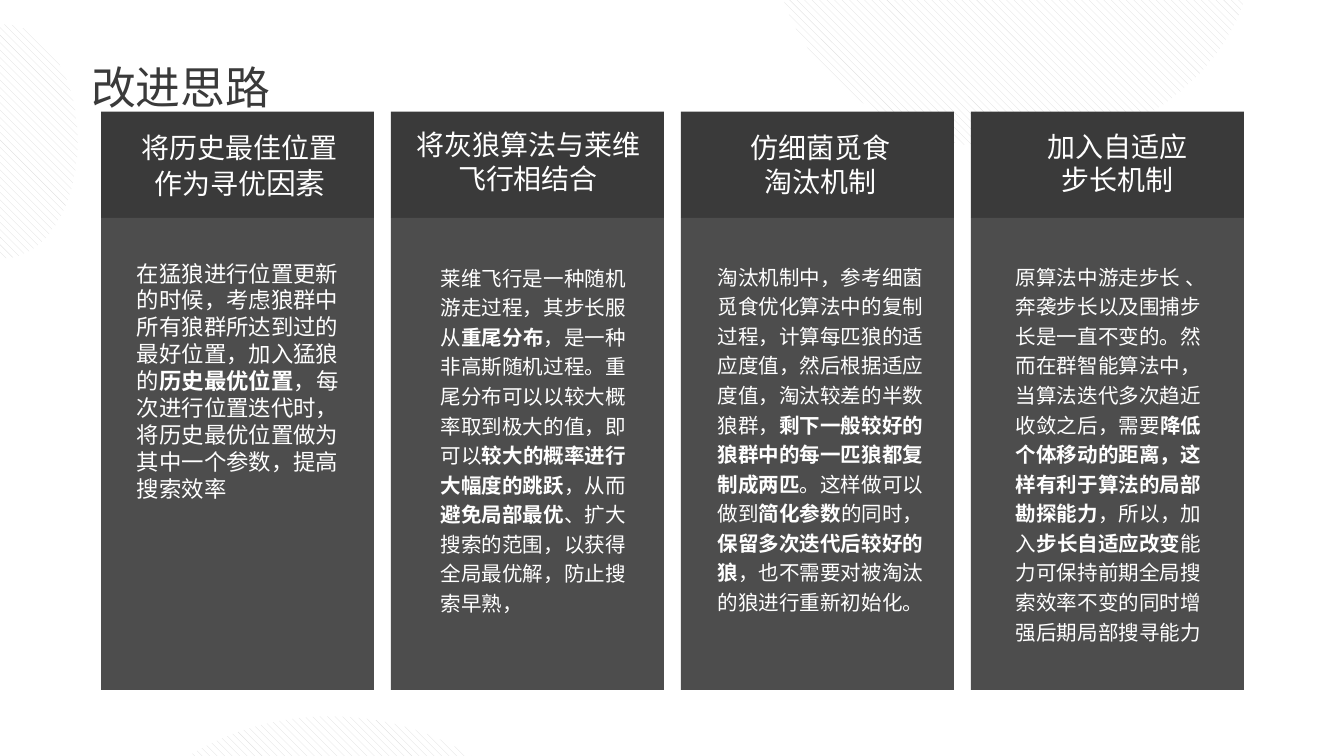
"""Build the slide on four ideas for improving the wolf algorithm."""
from dataclasses import dataclass

from pptx import Presentation
from pptx.dml.color import RGBColor
from pptx.enum.dml import MSO_PATTERN
from pptx.enum.shapes import MSO_SHAPE
from pptx.enum.text import MSO_ANCHOR, MSO_AUTO_SIZE, PP_ALIGN
from pptx.oxml.ns import qn
from pptx.util import Cm, Pt

RECTANGLE, OVAL = MSO_SHAPE.RECTANGLE, MSO_SHAPE.OVAL
HATCH = MSO_PATTERN.WIDE_DOWNWARD_DIAGONAL
CENTER, LEFT = PP_ALIGN.CENTER, PP_ALIGN.LEFT
FRAME_FORMAT = {
    "word_wrap": True,
    "auto_size": MSO_AUTO_SIZE.SHAPE_TO_FIT_TEXT,
    "vertical_anchor": MSO_ANCHOR.TOP,
    "margin_left": Cm(0.25),
    "margin_right": Cm(0.25),
    "margin_top": Cm(0.13),
    "margin_bottom": Cm(0.13),
}

DARK = RGBColor(0x3A, 0x3A, 0x3A)
GRAY = RGBColor(0x4D, 0x4D, 0x4D)
PALE = RGBColor(0xDD, 0xDD, 0xDD)
WHITE = RGBColor(0xFF, 0xFF, 0xFF)
CJK_FONT = "Noto Sans CJK SC"
BODY_FONT = "Arial"

COLUMN_LEFT, COLUMN_STEP, COLUMN_WIDTH = 1.91, 5.48, 5.16
HEAD_TOP, HEAD_HEIGHT, BODY_HEIGHT = 2.11, 2.01, 8.92


@dataclass(frozen=True)
class Box:
    left: float
    top: float
    width: float
    height: float

    def lengths(self) -> tuple:
        return Cm(self.left), Cm(self.top), Cm(self.width), Cm(self.height)


@dataclass(frozen=True)
class Run:
    text: str
    size: float
    font: str = CJK_FONT
    bold: bool = False
    color: RGBColor = WHITE


@dataclass(frozen=True)
class Idea:
    heading: list[Run]
    heading_box: Box
    detail: str
    detail_box: Box
    detail_size: float = 11
    spacing: float = 1.2


CIRCLES = [
    Box(14.63, -5, 9.07, 7.82),
    Box(1.7, 13.54, 9.07, 7.82),
    Box(-1.3, 0.46, 2.77, 4.42),
]

IDEAS = [
    Idea(
        [Run("将历史最佳位置作为寻优", 15), Run("因素", 16, BODY_FONT)],
        Box(2.31, 2.34, 4.45, 1.57),
        "在猛狼进行位置更新的时候，考虑狼群中所有狼群所达到过的最好位置，加入猛狼的"
        "**历史最优位置**，每次进行位置迭代时，将历史最优位置做为其中一个参数，提高搜索效率",
        Box(2.34, 4.78, 4.34, 4.88), 12, 1.0,
    ),
    Idea(
        [Run("将灰狼算法与莱维飞行相结合", 15)],
        Box(7.54, 2.29, 4.88, 1.55),
        "莱维飞行是一种随机游走过程，其步长服从**重尾分布**，是一种非高斯随机过程。"
        "重尾分布可以以较大概率取到极大的值，即可以**较大的概率进行大幅度的跳跃**，从而"
        "**避免局部最优**、扩大搜索的范围，以获得全局最优解，防止搜索早熟，",
        Box(8.08, 4.8, 4.34, 6.99),
    ),
    Idea(
        [Run("仿细菌觅食淘汰机制", 15)],
        Box(13.77, 2.34, 3.48, 1.55),
        "淘汰机制中，参考细菌觅食优化算法中的复制过程，计算每匹狼的适应度值，"
        "然后根据适应度值，淘汰较差的半数狼群，**剩下一般较好的狼群中的每一匹狼都复制成两匹**"
        "。这样做可以做到**简化参数**的同时，**保留多次迭代后较好的狼**"
        "，也不需要对被淘汰的狼进行重新初始化。",
        Box(13.31, 4.78, 4.65, 6.99),
    ),
    Idea(
        [Run("加入自适应步长机制", 15)],
        Box(19.38, 2.31, 3.48, 1.55),
        "原算法中游走步长 、奔袭步长以及围捕步长是一直不变的。然而在群智能算法中，"
        "当算法迭代多次趋近收敛之后，需要**降低个体移动的距离，这样有利于算法的局部勘探能力**"
        "，所以，加入**步长自适应改变**能力可保持前期全局搜索效率不变的同时增强后期局部搜寻能力",
        Box(18.95, 4.78, 4.34, 7.54),
    ),
]


def split_emphasis(text: str, size: float) -> list[Run]:
    return [Run(part, size, BODY_FONT, index % 2 == 1)
            for index, part in enumerate(text.split("**"))]


def write(frame, runs: list[Run], alignment, spacing: float = 1.0) -> None:
    for attribute, value in FRAME_FORMAT.items():
        setattr(frame, attribute, value)
    paragraph = frame.paragraphs[0]
    paragraph.alignment = alignment
    paragraph.line_spacing = spacing
    for item in runs:
        run = paragraph.add_run()
        run.text = item.text
        font_format = {"name": item.font, "size": Pt(item.size), "bold": item.bold}
        for attribute, value in font_format.items():
            setattr(run.font, attribute, value)
        run.font.color.rgb = item.color
        east_asian = run.font._element.makeelement(qn("a:ea"), {"typeface": CJK_FONT})
        run.font._element.find(qn("a:latin")).addnext(east_asian)


def add_text(slide, box: Box, runs: list[Run], alignment, spacing: float = 1.0) -> None:
    write(slide.shapes.add_textbox(*box.lengths()).text_frame, runs, alignment, spacing)


def add_plain_shape(slide, kind, box: Box):
    shape = slide.shapes.add_shape(kind, *box.lengths())
    shape.shadow.inherit = False
    shape.line.fill.background()
    return shape


def add_circle(slide, box: Box) -> None:
    fill = add_plain_shape(slide, OVAL, box).fill
    fill.patterned()
    fill.pattern = HATCH
    fill.fore_color.rgb = PALE
    fill.back_color.rgb = WHITE


def add_panel(slide, box: Box, color: RGBColor) -> None:
    fill = add_plain_shape(slide, RECTANGLE, box).fill
    fill.solid()
    fill.fore_color.rgb = color


def add_idea(slide, idea: Idea, column: int) -> None:
    left = COLUMN_LEFT + column * COLUMN_STEP
    add_panel(slide, Box(left, HEAD_TOP, COLUMN_WIDTH, HEAD_HEIGHT), DARK)
    add_panel(slide, Box(left, HEAD_TOP + HEAD_HEIGHT, COLUMN_WIDTH, BODY_HEIGHT), GRAY)
    add_text(slide, idea.heading_box, idea.heading, CENTER)
    add_text(slide, idea.detail_box, split_emphasis(idea.detail, idea.detail_size),
             LEFT, idea.spacing)


def main() -> None:
    presentation = Presentation()
    presentation.slide_width, presentation.slide_height = Cm(25.4), Cm(14.29)
    slide = presentation.slides.add_slide(presentation.slide_layouts[5])
    title = slide.shapes.title
    title.left, title.top, title.width, title.height = Box(1.47, 0.99, 5.92, 1.27).lengths()
    write(title.text_frame, [Run("改进思路", 24, color=DARK)], LEFT)
    for circle in CIRCLES:
        add_circle(slide, circle)
    for column, idea in enumerate(IDEAS):
        add_idea(slide, idea, column)
    presentation.save("out.pptx")


if __name__ == "__main__":
    main()
